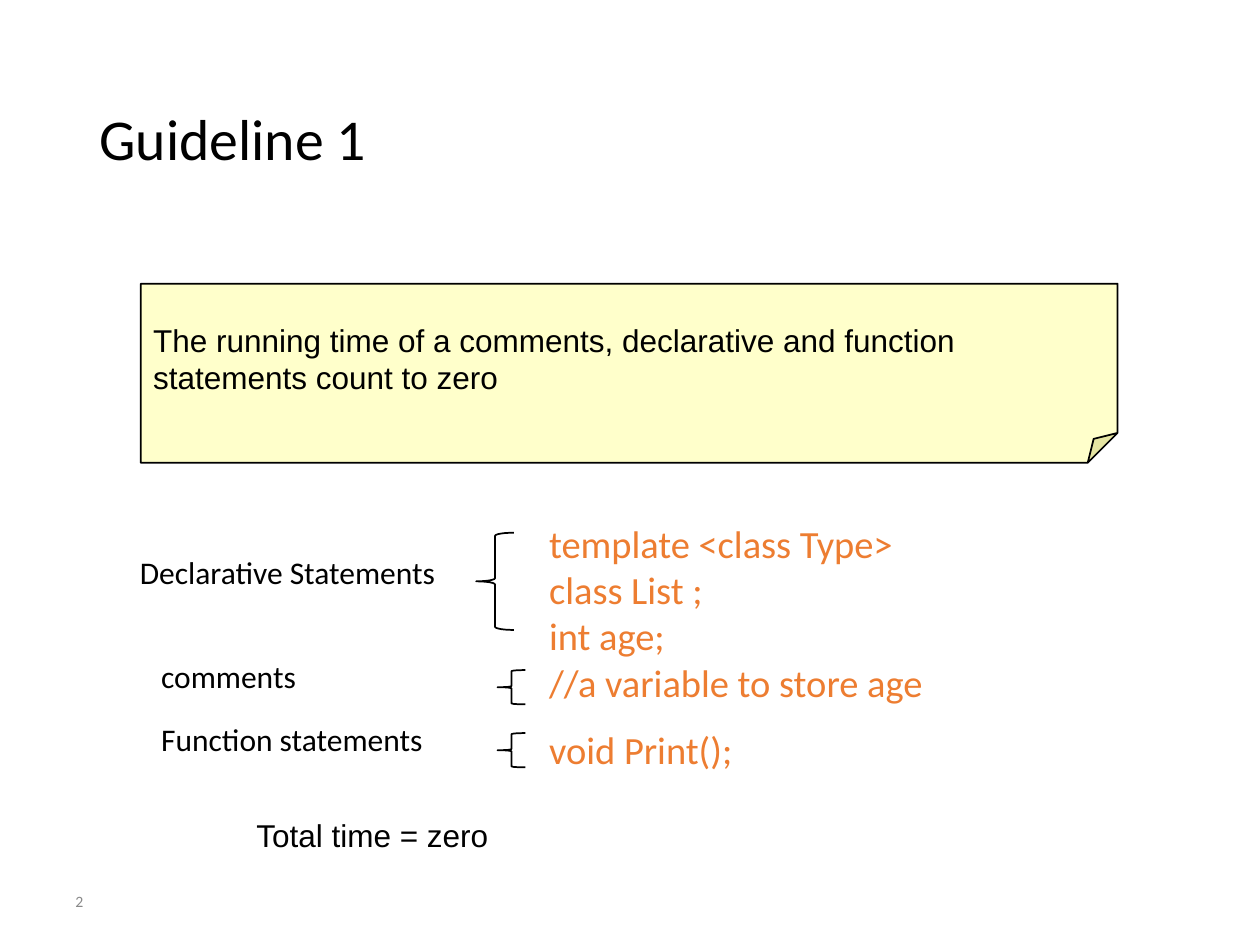
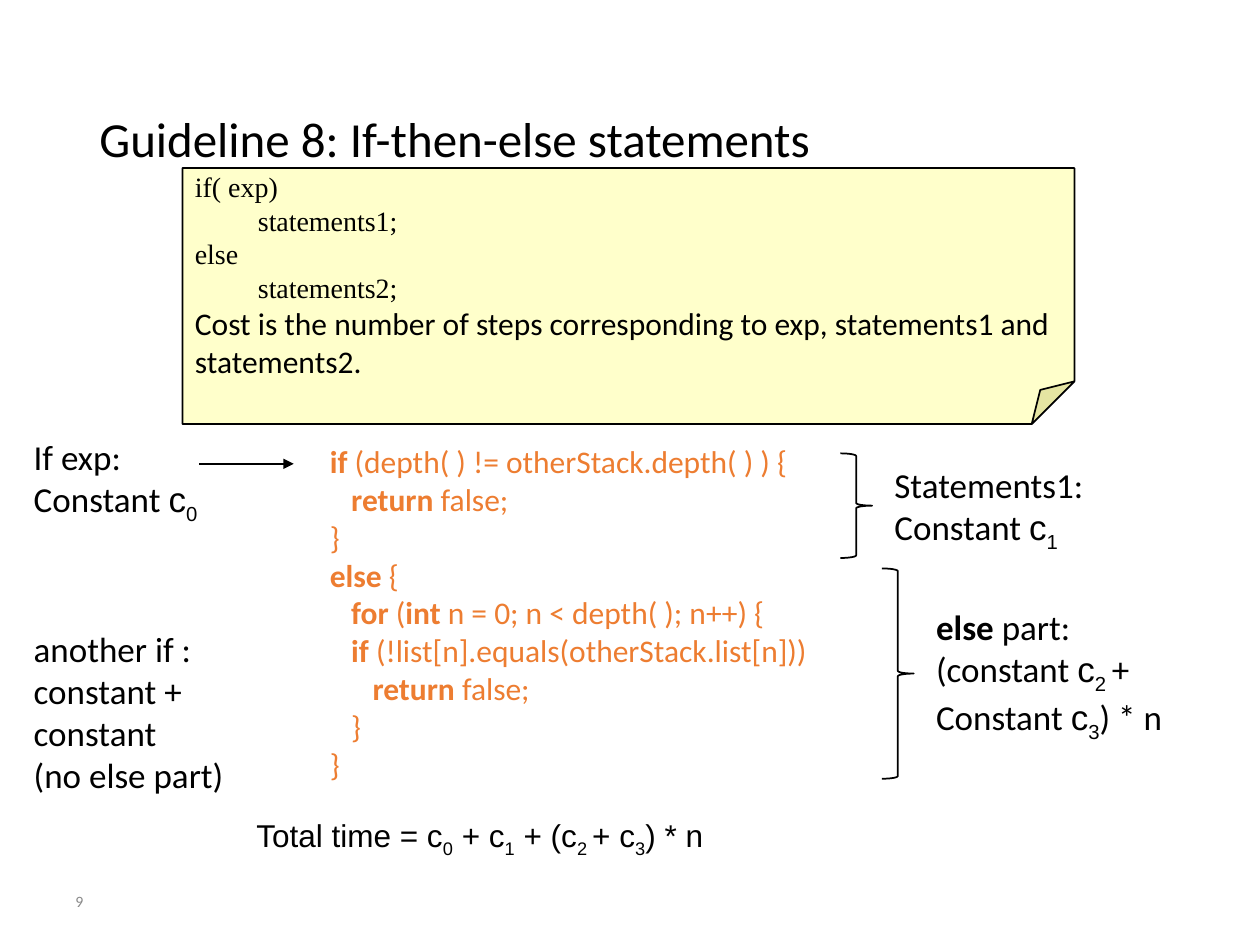
from dataclasses import dataclass

from lxml.etree import SubElement
from pptx import Presentation
from pptx.dml.color import RGBColor
from pptx.enum.shapes import MSO_CONNECTOR, MSO_SHAPE
from pptx.enum.text import MSO_ANCHOR, MSO_AUTO_SIZE, PP_ALIGN
from pptx.oxml.ns import qn
from pptx.util import Cm, Pt

BLACK = RGBColor(0x00, 0x00, 0x00)
GREY = RGBColor(0x89, 0x89, 0x89)
ORANGE = RGBColor(0xED, 0x7D, 0x31)
NOTE_YELLOW = RGBColor(0xFF, 0xFF, 0x99)

BODY_FONT = "Calibri"
SYMBOL_FONT = "Arial"
SYNTAX_FONT = "Times New Roman"

PLAIN, BOLD, SYMBOL, SUBSCRIPT = range(4)


@dataclass
class Box:
    left: float
    top: float
    width: float
    height: float

    def inner(self, left, top, width, height):
        return Box(self.left + left, self.top + top, width, height)

    def lengths(self):
        return Cm(self.left), Cm(self.top), Cm(self.width), Cm(self.height)


TITLE_BOX = Box(1.75, 1.02, 21.9, 3.68)
NUMBER_BOX = Box(1.27, 17.65, 5.92, 1.02)
TOTAL_BOX = Box(4.92, 16.32, 10, 1.02)


def plain(text):
    return [(text, PLAIN)]


def with_keywords(text):
    parts = enumerate(text.split("|"))
    return [(part, BOLD if index % 2 else PLAIN) for index, part in parts if part]


def constant(index):
    return [("c", SYMBOL), (index, SUBSCRIPT)]


def write_line(paragraph, runs, size, font=BODY_FONT, color=BLACK):
    for text, style in runs:
        run = paragraph.add_run()
        run.text = text
        run.font.name = SYMBOL_FONT if style in (SYMBOL, SUBSCRIPT) else font
        run.font.size = Pt(size)
        run.font.color.rgb = color
        run.font.bold = style == BOLD
        if style == SUBSCRIPT:
            run.font._element.set("baseline", "-25000")


def next_paragraph(text_frame):
    first = text_frame.paragraphs[0]
    paragraph = text_frame.add_paragraph() if first.runs else first
    paragraph.alignment = PP_ALIGN.LEFT
    return paragraph


def add_text(shapes, box, lines, size, font=BODY_FONT, color=BLACK):
    text_frame = shapes.add_textbox(*box.lengths()).text_frame
    text_frame.word_wrap = True
    for runs in lines:
        write_line(next_paragraph(text_frame), runs, size, font, color)
    return text_frame


def outline(shape):
    shape.shadow.inherit = False
    shape.line.color.rgb = BLACK
    shape.line.width = Pt(1)


def add_guideline_slide(presentation, title, title_size, number):
    slide = presentation.slides.add_slide(presentation.slide_layouts[5])
    shape = slide.shapes.title
    shape.left, shape.top, shape.width, shape.height = TITLE_BOX.lengths()
    text_frame = shape.text_frame
    text_frame.auto_size = MSO_AUTO_SIZE.NONE
    text_frame.vertical_anchor = MSO_ANCHOR.MIDDLE
    paragraph = next_paragraph(text_frame)
    paragraph.line_spacing = 0.9
    write_line(paragraph, plain(title), title_size)
    footer = add_text(slide.shapes, NUMBER_BOX, [plain(number)], 9, color=GREY)
    footer.vertical_anchor = MSO_ANCHOR.MIDDLE
    return slide


def add_note(slide, box, lines):
    note = slide.shapes.add_shape(MSO_SHAPE.FOLDED_CORNER, *box.lengths())
    outline(note)
    note.fill.solid()
    note.fill.fore_color.rgb = NOTE_YELLOW
    color = note._element.spPr.find(qn("a:solidFill")).find(qn("a:srgbClr"))
    SubElement(color, qn("a:alpha")).set("val", "50000")
    text_frame = note.text_frame
    text_frame.word_wrap = True
    text_frame.vertical_anchor = MSO_ANCHOR.MIDDLE
    for text, size, font in lines:
        write_line(next_paragraph(text_frame), plain(text), size, font)


def add_code(slide, box, lines, size):
    return add_text(slide.shapes, box, map(with_keywords, lines), size, color=ORANGE)


def add_braced_label(slide, label_box, lines, size, brace_box, brace_type, curve=0.083):
    group = slide.shapes.add_group_shape()
    add_text(group.shapes, label_box, lines, size)
    brace = group.shapes.add_shape(brace_type, *brace_box.lengths())
    brace.adjustments[0] = curve
    brace.fill.background()
    outline(brace)


def add_left_label(slide, box, text, label_top, brace_width, brace_height, curve):
    brace_left = box.width - brace_width
    brace_top = box.height - brace_height
    add_braced_label(
        slide, box.inner(0, label_top, brace_left - 0.2, 1.02), [plain(text)], 18,
        box.inner(brace_left, brace_top, brace_width, brace_height),
        MSO_SHAPE.LEFT_BRACE, curve)


def add_right_label(slide, box, lines, label_top):
    brace_width = 0.64
    label_left = brace_width + 0.2
    label_box = box.inner(label_left, label_top, box.width - label_left, len(lines) * 0.95)
    add_braced_label(slide, label_box, lines, 20,
                     box.inner(0, 0, brace_width, box.height), MSO_SHAPE.RIGHT_BRACE)


def add_arrow_label(slide, box, lines):
    group = slide.shapes.add_group_shape()
    arrow_top = Cm(box.top + 0.69)
    arrow = group.shapes.add_connector(
        MSO_CONNECTOR.STRAIGHT, Cm(box.left + box.width - 1.9), arrow_top,
        Cm(box.left + box.width), arrow_top)
    arrow.line.color.rgb = BLACK
    arrow.line.width = Pt(1)
    SubElement(arrow.line._get_or_add_ln(), qn("a:tailEnd")).set("type", "triangle")
    SubElement(arrow._element.spPr, qn("a:effectLst"))
    add_text(group.shapes, box.inner(0, 0, 4, box.height), lines, 20)


def add_total(slide, runs):
    add_text(slide.shapes, TOTAL_BOX, [runs], 18, SYMBOL_FONT)


def build_zero_cost_slide(presentation):
    slide = add_guideline_slide(presentation, "Guideline 1", 33, "2")
    add_note(slide, Box(2.84, 5.72, 19.69, 3.61), [
        ("The running time of a comments, declarative and function statements count to zero",
         18, SYMBOL_FONT)])
    code = add_code(slide, Box(10.82, 10.36, 9.93, 5.38), [
        "template <class Type>",
        "class List ;",
        "int age;",
        "//a variable to store age",
        "void Print();",
    ], 22)
    code.paragraphs[-1].space_before = Pt(12)
    add_left_label(slide, Box(2.57, 10.74, 7.79, 1.96), "Declarative Statements",
                   0.28, 0.76, 1.96, 0.083)
    for row, text in enumerate(["comments", "Function statements"]):
        add_left_label(slide, Box(3, 13.13 + row * 1.27, 7.59, 1.07), text,
                       0, 0.56, 0.69, 0.037)
    add_total(slide, plain("Total time = zero"))


def build_if_else_slide(presentation):
    slide = add_guideline_slide(
        presentation, "Guideline 8: If-then-else statements", 28, "9")
    syntax = ["if( exp)", "\tstatements1;", "else", "\tstatements2;"]
    add_note(slide, Box(3.68, 3.39, 17.98, 5.16), [
        *((line, 16, SYNTAX_FONT) for line in syntax),
        ("Cost is the number of steps corresponding to exp, statements1 and statements2.",
         18, BODY_FONT)])
    add_code(slide, Box(6.4, 8.79, 10.29, 7.11), [
        "|if| (depth( ) != otherStack.depth( ) ) {",
        "   |return| false;",
        "}",
        "|else| {",
        "   |for| (|int| n = 0; n < depth( ); n++) {",
        "   |if| (!list[n].equals(otherStack.list[n]))",
        "      |return| false;",
        "   }",
        "}",
    ], 18)
    add_right_label(slide, Box(16.94, 9.14, 5.3, 2.11), [
        plain("Statements1:"),
        plain("Constant ") + constant("1"),
    ], 0.08)
    add_right_label(slide, Box(17.78, 11.46, 6.2, 4.24), [
        with_keywords("|else| part:"),
        plain("(constant ") + constant("2 ") + plain("+"),
        plain("Constant ") + constant("3") + plain(") * n"),
    ], 0.63)
    add_arrow_label(slide, Box(0.43, 8.66, 5.49, 1.96), [
        plain("If exp:"),
        plain("Constant ") + constant("0"),
    ])
    add_text(slide.shapes, Box(0.43, 12.52, 5.94, 2.8), [
        plain("another if :"),
        plain("constant + constant"),
        plain("(no else part)"),
    ], 20)
    add_total(slide, plain("Total time = ") + constant("0") + plain(" + ") + constant("1")
              + plain(" + (") + constant("2 ") + plain("+ ") + constant("3") + plain(") * n"))


def main():
    presentation = Presentation()
    presentation.slide_width = Cm(25.4)
    presentation.slide_height = Cm(19.05)
    build_zero_cost_slide(presentation)
    build_if_else_slide(presentation)
    presentation.save("out.pptx")


if __name__ == "__main__":
    main()
